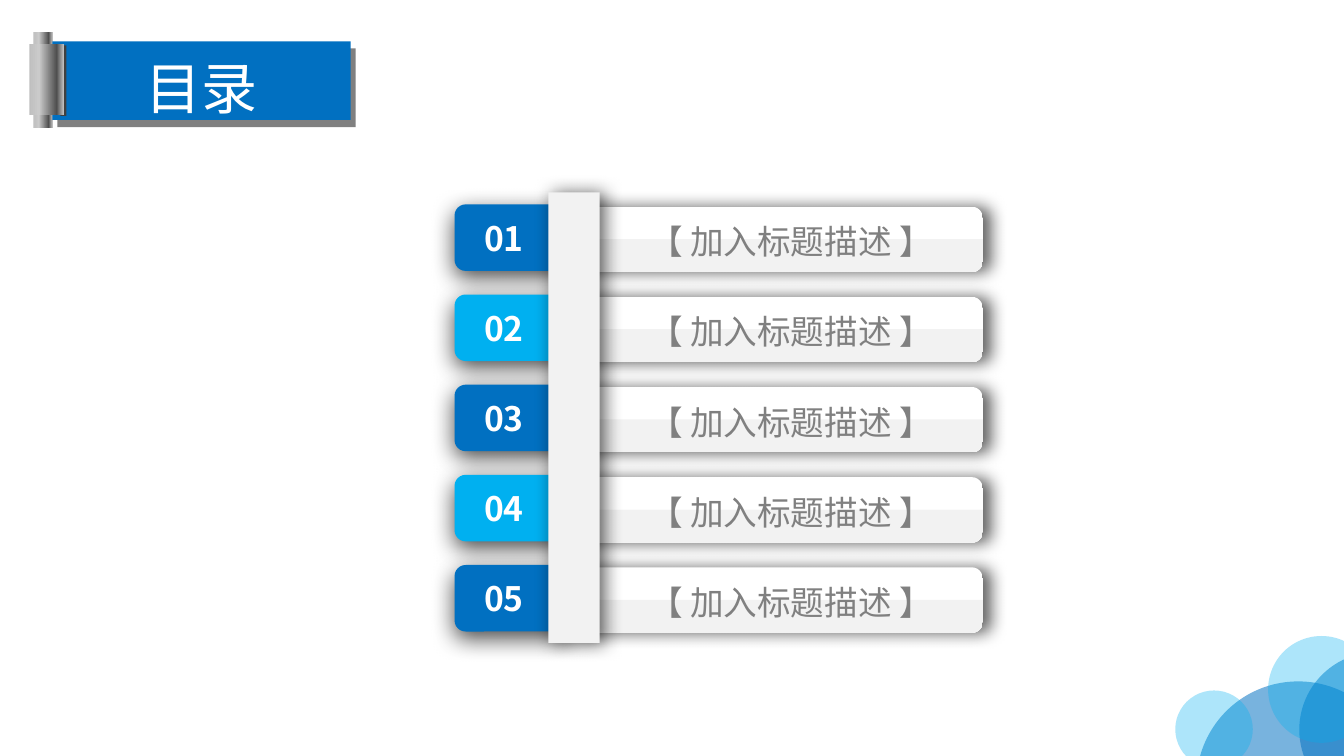
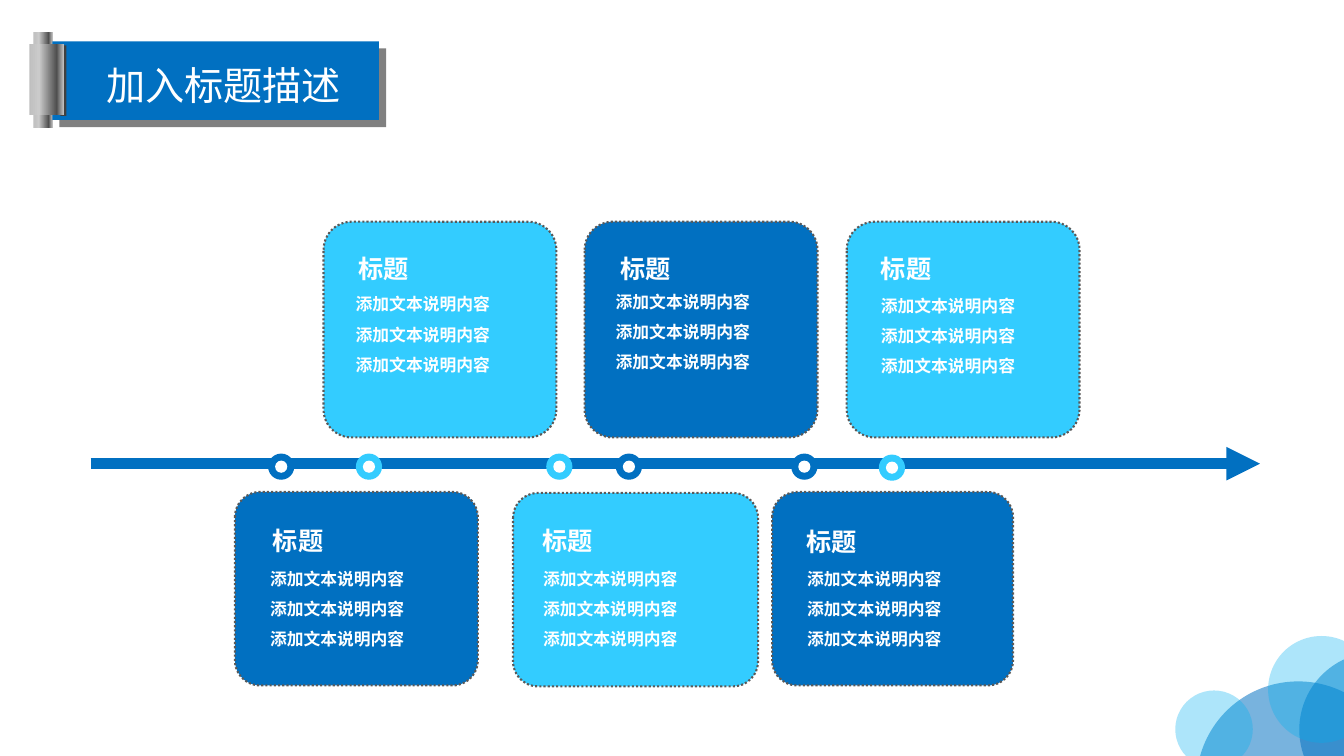
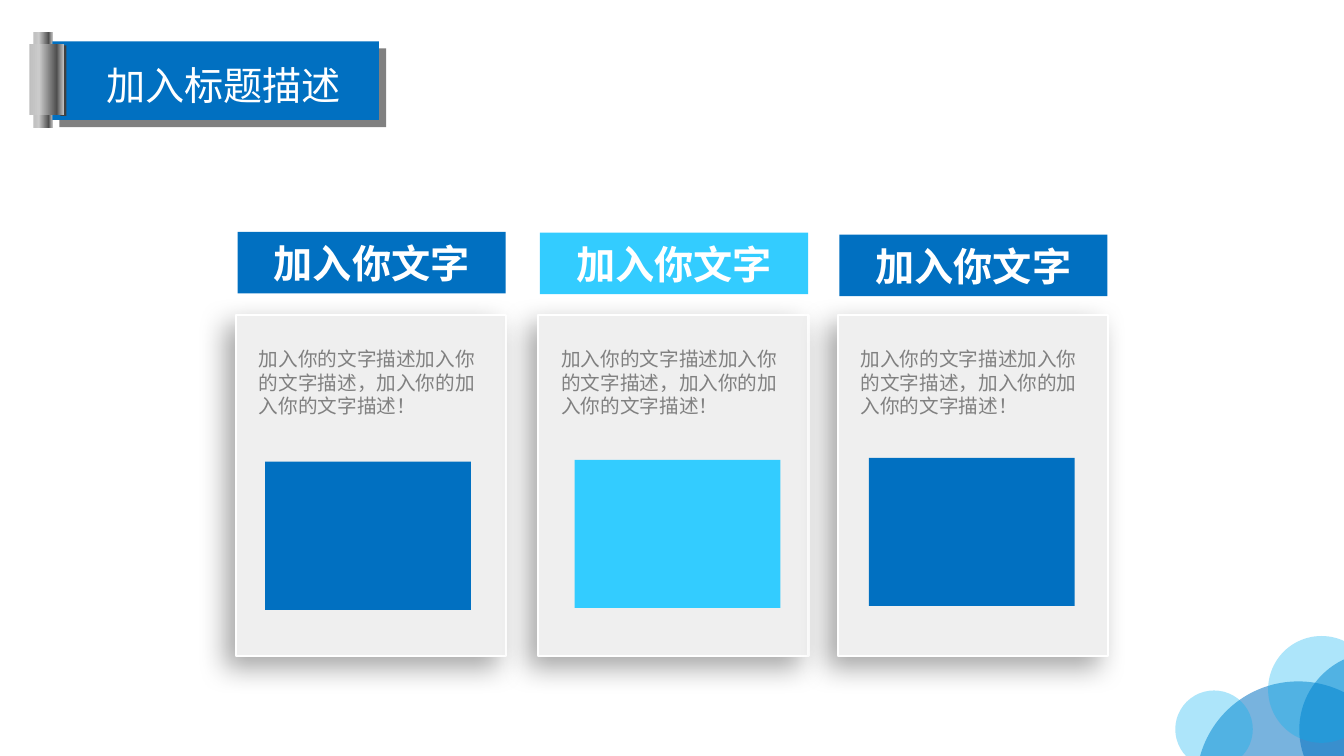
from lxml import etree
from pptx import Presentation
from pptx.dml.color import RGBColor
from pptx.enum.dml import MSO_LINE
from pptx.enum.shapes import MSO_CONNECTOR, MSO_SHAPE
from pptx.enum.text import MSO_ANCHOR, PP_ALIGN
from pptx.oxml.ns import qn
from pptx.util import Pt

RECT, ROUND, OVAL = MSO_SHAPE.RECTANGLE, MSO_SHAPE.ROUNDED_RECTANGLE, MSO_SHAPE.OVAL
LEFT, CENTER = PP_ALIGN.LEFT, PP_ALIGN.CENTER
TOP, MIDDLE = MSO_ANCHOR.TOP, MSO_ANCHOR.MIDDLE
DOTTED, STRAIGHT = MSO_LINE.ROUND_DOT, MSO_CONNECTOR.STRAIGHT
FONT = "Noto Sans CJK SC"
COLORS = {
    "blue": "0170C1", "cyan": "00B0F0", "sky": "33CCFF", "white": "FFFFFF",
    "pale": "F2F2F2", "card": "EFEFEF", "gray": "808080", "dark": "404040",
    "outline": "595959", "silver": "BFBFBF", "light": "CACACA", "steel": "4F4F4F",
    "black": "000000",
}
METAL = [(0, "silver"), (29, "light"), (80, "steel"), (100, "silver")]
GLOSS = [(45, "white"), (49, "white"), (50, "pale")]
DOWNWARD = 270

ROW_SHADOW = ("black", 62, 12, 6, 0)
TAB_SHADOW = ("black", 70, 17, 5, 90)
BAR_SHADOW = ("black", 62, 13, 3, 0)
CARD_SHADOW = ("black", 34, 20, 10, 136)

BUBBLES = [
    (854.6, 486.7, 145.4, "blue", 53),
    (928.1, 465.8, 110.9, "blue", 53),
    (905.8, 454.3, 76.3, "cyan", 32),
    (839.5, 493.2, 55.4, "cyan", 32),
]
CONTENTS_TITLE = {"text": "目录", "size": 40, "box": (25.2, 35.3, 237.6, 54),
                  "width": 213.1, "shade_left": 41}
SECTION_TITLE = {"text": "加入标题描述", "size": 28, "box": (41, 41, 237.6, 39.6),
                 "width": 233.3, "shade_left": 42.5}

AGENDA = ["【 加入标题描述 】"] * 5
AGENDA_STEP = 64.4

MILESTONE_TITLE = "标题"
MILESTONE_LINES = ["添加文本说明内容"] * 3
MILESTONES = [
    {"card": (231.1, 158.4, 166.3, 154.1), "color": "sky", "title": (249.1, 177.1),
     "body": (247, 199.4), "marker": (254.2, 324)},
    {"card": (167.8, 351.4, 173.5, 138.2), "color": "blue", "title": (187.9, 371.5),
     "body": (185.8, 395.3), "marker": (191.5, 324)},
    {"card": (366.5, 352.1, 175, 138.2), "color": "sky", "title": (380.2, 371.5),
     "body": (380.9, 395.3), "marker": (390.2, 324)},
    {"card": (417.6, 158.4, 166.3, 154.1), "color": "blue", "title": (436.3, 177.1),
     "body": (432.7, 197.3), "marker": (439.9, 324)},
    {"card": (551.5, 351.4, 172.1, 138.2), "color": "blue", "title": (568.8, 372.2),
     "body": (569.5, 395.3), "marker": (565.2, 324)},
    {"card": (604.8, 158.4, 166.3, 154.1), "color": "sky", "title": (622.1, 177.1),
     "body": (622.1, 200.2), "marker": (627.8, 324.7)},
]

COLUMN_HEADING = "加入你文字"
COLUMN_TEXT = "加入你的文字描述加入你的文字描述，加入你的加入你的文字描述！"
COLUMNS = [
    {"left": 168.5, "header_top": 165.6, "panel": (189.4, 329.8), "color": "blue"},
    {"left": 384.5, "header_top": 166.2, "panel": (410.4, 328.5), "color": "sky"},
    {"left": 598.3, "header_top": 167.6, "panel": (620.6, 327.1), "color": "blue"},
]


def rgb(name):
    return RGBColor.from_string(COLORS[name])


def add_color(parent, name, alpha=None):
    color = etree.SubElement(parent, qn("a:srgbClr"), val=COLORS[name])
    if alpha is not None:
        etree.SubElement(color, qn("a:alpha"), val=str(alpha * 1000))


def paint_gradient(shape, stops, angle):
    shape.fill.gradient()
    shape.fill.gradient_angle = angle
    stop_list = shape._element.spPr.find(qn("a:gradFill")).find(qn("a:gsLst"))
    for stop in list(stop_list):
        stop_list.remove(stop)
    for position, name in stops:
        add_color(etree.SubElement(stop_list, qn("a:gs"), pos=str(position * 1000)), name)


def add_shadow(shape, name, alpha, blur, distance, direction):
    effects = shape._element.spPr.find(qn("a:effectLst"))
    shadow = etree.SubElement(
        effects, qn("a:outerShdw"), blurRad=str(Pt(blur)), dist=str(Pt(distance)),
        dir=str(direction * 60000), algn="ctr", rotWithShape="0")
    add_color(shadow, name, alpha)


def add_box(shapes, kind, box, fill, alpha=None, angle=0, outline=None,
            shadow=None, corner=None):
    shape = shapes.add_shape(kind, *map(Pt, box))
    if isinstance(fill, list):
        paint_gradient(shape, fill, angle)
    else:
        shape.fill.solid()
        shape.fill.fore_color.rgb = rgb(fill)
        if alpha is not None:
            color = shape._element.spPr.find(qn("a:solidFill"))[0]
            etree.SubElement(color, qn("a:alpha"), val=str(alpha * 1000))
    if outline:
        name, width, dash = outline
        shape.line.color.rgb = rgb(name)
        shape.line.width = Pt(width)
        if dash:
            shape.line.dash_style = dash
    else:
        shape.line.fill.background()
    shape.shadow.inherit = False
    if shadow:
        add_shadow(shape, *shadow)
    if corner is not None:
        shape.adjustments[0] = corner
    return shape


def write(shape, lines, size, color="white", bold=False, align=LEFT, anchor=TOP,
          insets=(7.2, 3.6, 7.2, 3.6), spacing=None):
    frame = shape.text_frame
    left, top, right, bottom = map(Pt, insets)
    layout = {"word_wrap": True, "vertical_anchor": anchor, "margin_left": left,
              "margin_top": top, "margin_right": right, "margin_bottom": bottom}
    for name, value in layout.items():
        setattr(frame, name, value)
    for index, line in enumerate(lines):
        paragraph = frame.add_paragraph() if index else frame.paragraphs[0]
        paragraph.alignment = align
        paragraph.line_spacing = spacing
        run = paragraph.add_run()
        run.text = line
        for name, value in {"name": FONT, "size": Pt(size), "bold": bold}.items():
            setattr(run.font, name, value)
        run.font.color.rgb = rgb(color)
        etree.SubElement(run._r.get_or_add_rPr(), qn("a:ea"), typeface=FONT)


def add_text(slide, box, lines, size, **style):
    write(slide.shapes.add_textbox(*map(Pt, box)), lines, size, **style)


def start_slide(presentation, title):
    slide = presentation.slides.add_slide(presentation.slide_layouts[6])
    for left, top, size, color, alpha in BUBBLES:
        add_box(slide.shapes, OVAL, (left, top, size, size), color, alpha=alpha)
    scroll = slide.shapes.add_group_shape().shapes
    for box, fill in [
        ((23.8, 23, 13.7, 68.4), METAL),
        ((title["shade_left"], 34.6, title["width"], 56.2), "gray"),
        ((37.4, 29.5, title["width"], 56.2), "blue"),
        ((43.2, 32.4, 4.3, 50.4), "dark"),
        ((21, 31.7, 24.5, 50.4), METAL),
    ]:
        add_box(scroll, RECT, box, fill)
    add_text(slide, title["box"], [title["text"]], title["size"], align=CENTER,
             insets=(5, 3, 5, 3))
    return slide


def build_contents(presentation):
    slide = start_slide(presentation, CONTENTS_TITLE)
    offsets = [index * AGENDA_STEP for index in range(len(AGENDA))]
    for offset in offsets:
        add_box(slide.shapes, ROUND, (406.1, 147.6 + offset, 295.9, 46.8), GLOSS,
                angle=DOWNWARD, shadow=ROW_SHADOW)
    for index, offset in enumerate(offsets):
        tab = add_box(slide.shapes, ROUND, (324.7, 146 + offset, 81.4, 47.5),
                      "cyan" if index % 2 else "blue", shadow=TAB_SHADOW)
        write(tab, [f"{index + 1:02d}"], 24, bold=True, align=CENTER, anchor=MIDDLE,
              insets=(5, 3, 15.8, 3))
    add_box(slide.shapes, RECT, (391.7, 137.5, 36.7, 321.8), "pale", shadow=BAR_SHADOW)
    for label, offset in zip(AGENDA, offsets):
        add_text(slide, (456.5, 140 + offset, 272.2, 46), [label], 24,
                 color="gray", spacing=1.5)


def build_timeline(presentation):
    slide = start_slide(presentation, SECTION_TITLE)
    arrow = slide.shapes.add_connector(STRAIGHT, Pt(64.8), Pt(331.2), Pt(900), Pt(331.2))
    arrow.line.color.rgb = rgb("blue")
    arrow.line.width = Pt(8)
    etree.SubElement(arrow.line._get_or_add_ln(), qn("a:tailEnd"), type="triangle")
    etree.SubElement(arrow._element.spPr, qn("a:effectLst"))
    for milestone in MILESTONES:
        add_box(slide.shapes, ROUND, milestone["card"], milestone["color"],
                outline=("outline", 1.5, DOTTED), corner=0.13)
        left, top = milestone["marker"]
        marker = slide.shapes.add_group_shape().shapes
        add_box(marker, OVAL, (left, top, 18.7, 18.7), milestone["color"])
        add_box(marker, OVAL, (left + 5, top + 5, 8.7, 8.7), "white")
        add_text(slide, (*milestone["title"], 145, 28.8), [MILESTONE_TITLE], 18, bold=True)
        add_text(slide, (*milestone["body"], 150, 72.7), MILESTONE_LINES, 12,
                 bold=True, spacing=1.5)


def build_columns(presentation):
    slide = start_slide(presentation, SECTION_TITLE)
    for column in COLUMNS:
        left = column["left"]
        card = add_box(slide.shapes, RECT, (left, 224.9, 193, 244), "card",
                       outline=("white", 1.5, None), shadow=CARD_SHADOW)
        write(card, [COLUMN_TEXT], 14, color="gray", insets=(16.4, 23, 9.4, 0))
        add_box(slide.shapes, RECT, (*column["panel"], 147, 105.8), column["color"])
        header = add_box(slide.shapes, RECT, (left + 1.2, column["header_top"], 191.5, 44),
                         column["color"])
        write(header, [COLUMN_HEADING], 28, bold=True, align=CENTER, anchor=MIDDLE)


def main():
    presentation = Presentation()
    presentation.slide_width = Pt(960)
    presentation.slide_height = Pt(540)
    for build in (build_contents, build_timeline, build_columns):
        build(presentation)
    presentation.save("out.pptx")


if __name__ == "__main__":
    main()
